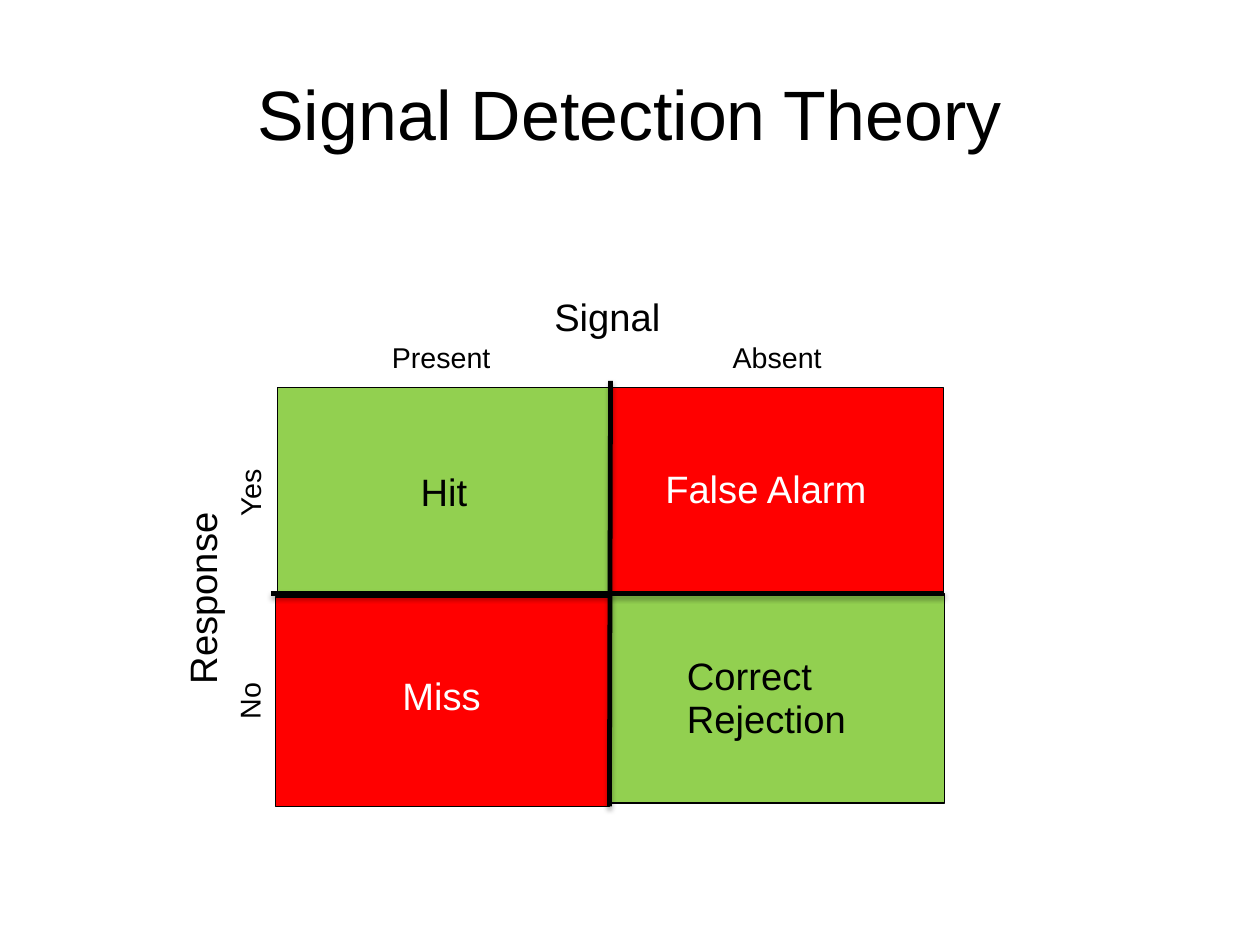
from lxml import etree
from pptx import Presentation
from pptx import util as u
from pptx.dml import color
from pptx.enum import shapes, text
from pptx.oxml import ns

PX = 9144
COLORS = {"black": "000000", "white": "FFFFFF", "green": "92D050", "red": "FF0000"}
CELLS = [
    ((2, 0), "green"),
    ((292, 0), "red"),
    ((0, 183), "red"),
    ((293, 180), "green"),
]
CELL_SIZE = (292, 183)
LABELS = [
    ("Present", (92, -44, 107, 39), 18, "black", 0),
    ("Absent", (390, -44, 99, 39), 18, "black", 0),
    ("Signal", (234, -84, 114, 48), 24, "black", 0),
    ("Response", (-148, 159, 172, 48), 24, "black", 270),
    ("No", (-47, 254, 52, 39), 18, "black", 270),
    ("Yes", (-51, 72, 61, 39), 18, "black", 270),
    ("Hit", (117, 69, 61, 48), 24, "black", 0),
    ("False Alarm", (331, 66, 198, 48), 24, "white", 0),
    ("Miss", (101, 247, 89, 48), 24, "white", 0),
    ("Correct\nRejection", (350, 230, 161, 86), 24, "black", 0),
]
AXES = [((293, -6), (292, 366)), ((-4, 180), (585, 180))]


def px(*lengths):
    """Turn px lengths into EMU."""
    return [u.Emu(length * PX) for length in lengths]


def rgb(name):
    """Look up a named colour."""
    return color.RGBColor.from_string(COLORS[name])


def apply(target, formats):
    """Set each attribute of the target from a dict."""
    for name, value in formats.items():
        setattr(target, name, value)


def add_text(slide, words, box, size, ink, frame_format, align):
    """Add a text box with one paragraph per line of words."""
    shape = slide.shapes.add_textbox(*px(*box))
    frame = shape.text_frame
    apply(frame, frame_format)
    frame.text = words
    for paragraph in frame.paragraphs:
        apply(paragraph, {"alignment": align, "line_spacing": 0.94})
        apply(paragraph.runs[0].font, {"name": "Arial", "size": u.Pt(size)})
        paragraph.runs[0].font.color.rgb = rgb(ink)
    return shape


def add_title(slide, box):
    """Place the slide title centred in its box."""
    margins = dict.fromkeys(
        ("margin_left", "margin_top", "margin_right", "margin_bottom"), 0)
    frame_format = {
        "word_wrap": True, "vertical_anchor": text.MSO_ANCHOR.MIDDLE, **margins}
    add_text(slide, "Signal Detection Theory", box, 44, "black",
             frame_format, text.PP_ALIGN.CENTER)


def add_axis(slide, start, end):
    """Draw a thick dividing line with a soft shadow below it."""
    axis = slide.shapes.add_connector(
        shapes.MSO_CONNECTOR.STRAIGHT, *px(*start, *end))
    axis.line.color.rgb = rgb("black")
    axis.line.width = u.Pt(3)
    effects = etree.SubElement(axis._element.spPr, ns.qn("a:effectLst"))
    shadow = etree.SubElement(
        effects, ns.qn("a:outerShdw"), blurRad=str(u.Pt(3.1)),
        dist=str(u.Pt(1.8)), dir="5400000", rotWithShape="0")
    shade = etree.SubElement(shadow, ns.qn("a:srgbClr"), val=COLORS["black"])
    etree.SubElement(shade, ns.qn("a:alpha"), val="35000")


def add_matrix(slide, left, top):
    """Place the response matrix with its labels and axes."""
    for (x, y), fill in CELLS:
        cell = slide.shapes.add_shape(
            shapes.MSO_SHAPE.RECTANGLE, *px(left + x, top + y, *CELL_SIZE))
        cell.shadow.inherit = False
        cell.fill.solid()
        cell.fill.fore_color.rgb = rgb(fill)
        cell.line.color.rgb = rgb("black")
        cell.line.width = u.Pt(0.75)
    frame_format = {
        "word_wrap": False, "auto_size": text.MSO_AUTO_SIZE.SHAPE_TO_FIT_TEXT}
    for words, (x, y, width, height), size, ink, turn in LABELS:
        label = add_text(slide, words, (left + x, top + y, width, height),
                         size, ink, frame_format, text.PP_ALIGN.LEFT)
        label.rotation = turn
    for ends in AXES:
        add_axis(slide, *[(left + x, top + y) for x, y in ends])


def main():
    """Build and save the slide."""
    presentation = Presentation()
    presentation.slide_width, presentation.slide_height = px(1102, 827)
    slide = presentation.slides.add_slide(presentation.slide_layouts[6])
    add_title(slide, (55, 33, 992, 138))
    add_matrix(slide, 241, 339)
    presentation.save("out.pptx")


if __name__ == "__main__":
    main()
